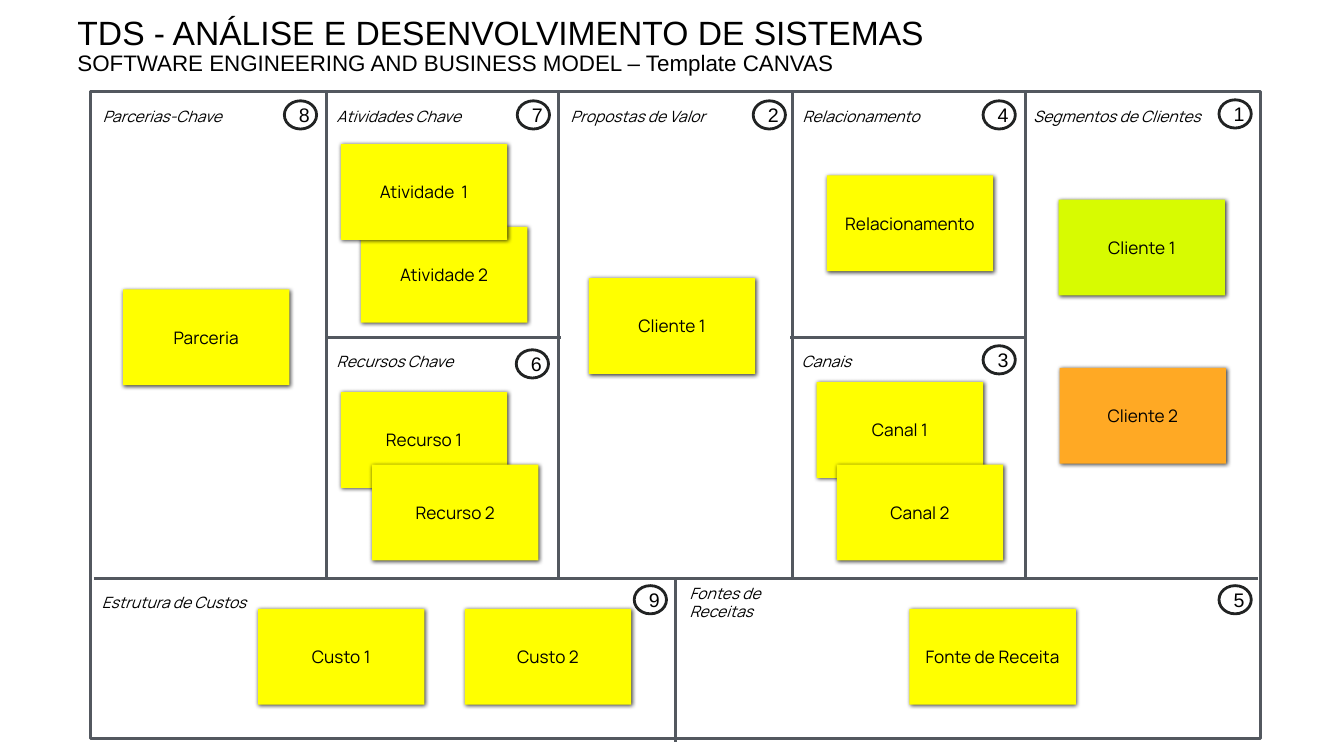
from dataclasses import dataclass

from lxml import etree
from pptx import Presentation
from pptx.dml.color import RGBColor
from pptx.enum.shapes import MSO_CONNECTOR, MSO_SHAPE
from pptx.enum.text import MSO_ANCHOR, MSO_AUTO_SIZE, PP_ALIGN
from pptx.oxml import parse_xml
from pptx.oxml.ns import qn
from pptx.util import Inches, Pt

RECT, OVAL = MSO_SHAPE.RECTANGLE, MSO_SHAPE.OVAL
LINE = MSO_CONNECTOR.STRAIGHT
MIDDLE, CENTER = MSO_ANCHOR.MIDDLE, PP_ALIGN.CENTER
GROW = MSO_AUTO_SIZE.SHAPE_TO_FIT_TEXT


@dataclass(frozen=True)
class Theme:
    ink: str = "000000"
    frame: str = "53585F"
    ring: str = "212323"
    yellow: str = "FFFF00"
    lime: str = "D7FB01"
    orange: str = "FFA924"
    head: str = "Arial"
    body: str = "Manrope"
    title: float = 24
    sub: float = 16
    badge: float = 14
    note: float = 12.3
    label: float = 11.1


@dataclass(frozen=True)
class Label:
    text: str
    x: float
    y: float
    w: float
    h: float = 0.25


@dataclass(frozen=True)
class Note:
    text: str
    x: float
    y: float
    fill: str = Theme.yellow


@dataclass(frozen=True)
class Badge:
    text: str
    x: float
    y: float


THEME = Theme()
LEFT, TOP, WIDE, HIGH = 0.9, 0.91, 11.6, 6.42
FLOOR, SHELF = 5.74, 3.35
NOTE_W, NOTE_H = 1.65, 0.95
RING_W, RING_H = 0.32, 0.28
ROW, LOW = 1.03, 5.85

# Canvas rules: start x, start y, end x, end y
RULES = [
    (0.93, FLOOR, 12.48, FLOOR),
    *[(x, 0.92, x, 5.72) for x in (3.24, 5.54, 7.86, 10.17)],
    (3.24, SHELF, 5.56, SHELF),
    (7.84, SHELF, 10.16, SHELF),
    (6.7, 7.36, 6.7, FLOOR),
]

LABELS = [
    Label("Segmentos de Clientes", 10.19, ROW, 1.81),
    Label("Relacionamento", 7.9, ROW, 1.57),
    Label("Propostas de Valor", 5.6, ROW, 1.52),
    Label("Atividades Chave", 3.28, ROW, 1.4),
    Label("Parcerias-Chave", 0.96, 0.99, 1.81, 0.33),
    Label("Fontes de Receitas", 6.78, LOW, 1.42),
    Label("Estrutura de Custos", 0.95, LOW, 1.57),
    Label("Recursos Chave", 3.28, 3.46, 1.33),
    Label("Canais", 7.89, 3.46, 1.42),
]

# Listed back to front, since some notes overlap
NOTES = [
    Note("Cliente 2", 10.51, 3.65, THEME.orange),
    Note("Cliente 1", 10.5, 1.98, THEME.lime),
    Note("Cliente 1", 5.84, 2.76),
    Note("Canal 1", 8.1, 3.79),
    Note("Relacionamento", 8.2, 1.74),
    Note("Fonte de Receita", 9.02, 6.04),
    Note("Custo 1", 2.56, 6.04),
    Note("Custo 2", 4.61, 6.04),
    Note("Recurso 1", 3.38, 3.89),
    Note("Atividade 2", 3.58, 2.25),
    Note("Parceria", 1.22, 2.87),
    Note("Canal 2", 8.3, 4.61),
    Note("Recurso 2", 3.69, 4.61),
    Note("Atividade  1", 3.38, 1.43),
]

BADGES = [
    Badge("1", 12.09, 0.99),
    Badge("4", 9.75, 1),
    Badge("2", 7.47, 1),
    Badge("9", 6.29, 5.81),
    Badge("5", 12.09, 5.81),
    Badge("3", 9.75, 3.43),
    Badge("6", 5.12, 3.47),
    Badge("7", 5.13, 1),
    Badge("8", 2.82, 1),
]

SHADOW = (
    '<a:effectLst xmlns:a="http://schemas.openxmlformats.org/drawingml/2006/main">'
    '<a:outerShdw blurRad="38100" dist="12700" dir="2700000" rotWithShape="0">'
    '<a:srgbClr val="000000"><a:alpha val="75000"/></a:srgbClr>'
    "</a:outerShdw></a:effectLst>"
)


def color(code: str) -> RGBColor:
    return RGBColor.from_string(code)


def box(x: float, y: float, w: float, h: float) -> list:
    return [Inches(v) for v in (x, y, w, h)]


def write(para, text: str, font: str, size: float, slant: bool = False) -> None:
    run = para.add_run()
    run.text = text
    run.font.name, run.font.size = font, Pt(size)
    run.font.color.rgb = color(THEME.ink)
    if slant:
        run.font.italic = True


def inset(frame, gap: float) -> None:
    frame.margin_left = frame.margin_right = Inches(gap)
    frame.margin_top = frame.margin_bottom = Inches(gap)


def stroke(line, code: str, width: float) -> None:
    line.color.rgb = color(code)
    line.width = Pt(width)


def draw_grid(shapes) -> None:
    frame = shapes.add_shape(RECT, *box(LEFT, TOP, WIDE, HIGH))
    frame.shadow.inherit = False
    frame.fill.background()
    stroke(frame.line, THEME.frame, 2.25)
    for ends in RULES:
        rule = shapes.add_connector(LINE, *box(*ends))
        stroke(rule.line, THEME.frame, 2.25)
        etree.SubElement(rule._element.spPr, qn("a:effectLst"))


def draw_label(shapes, item: Label) -> None:
    frame = shapes.add_textbox(*box(item.x, item.y, item.w, item.h)).text_frame
    frame.word_wrap = True
    frame.vertical_anchor = MIDDLE
    inset(frame, 0.06)
    write(frame.paragraphs[0], item.text, THEME.body, THEME.label, True)


def draw_note(shapes, item: Note) -> None:
    note = shapes.add_shape(RECT, *box(item.x, item.y, NOTE_W, NOTE_H))
    note.fill.solid()
    note.fill.fore_color.rgb = color(item.fill)
    note.line.fill.background()
    note._element.spPr.append(parse_xml(SHADOW))
    frame = note.text_frame
    frame.word_wrap = True
    frame.vertical_anchor = MIDDLE
    inset(frame, 0.12)
    frame.paragraphs[0].alignment = CENTER
    write(frame.paragraphs[0], item.text, THEME.body, THEME.note)


def draw_title(shapes) -> None:
    frame = shapes.add_textbox(*box(0.67, 0.11, 10.15, 0.71)).text_frame
    frame.word_wrap = True
    frame.auto_size = GROW
    first, second = frame.paragraphs[0], frame.add_paragraph()
    first.line_spacing = second.line_spacing = 0.9
    write(first, "TDS - ANÁLISE E DESENVOLVIMENTO DE SISTEMAS", THEME.head, THEME.title)
    write(second, "SOFTWARE ENGINEERING AND BUSINESS MODEL – Template CANVAS",
          THEME.head, THEME.sub)


def draw_badge(shapes, item: Badge) -> None:
    ring = shapes.add_shape(OVAL, *box(item.x, item.y, RING_W, RING_H))
    ring.shadow.inherit = False
    ring.fill.background()
    stroke(ring.line, THEME.ring, 2)
    frame = ring.text_frame
    frame.vertical_anchor = MIDDLE
    frame.paragraphs[0].alignment = CENTER
    write(frame.paragraphs[0], item.text, THEME.head, THEME.badge)


def main() -> None:
    deck = Presentation()
    deck.slide_width, deck.slide_height = Inches(13.33), Inches(7.5)
    shapes = deck.slides.add_slide(deck.slide_layouts[6]).shapes
    draw_grid(shapes)
    for item in LABELS:
        draw_label(shapes, item)
    for item in NOTES:
        draw_note(shapes, item)
    draw_title(shapes)
    for item in BADGES:
        draw_badge(shapes, item)
    deck.save("out.pptx")


if __name__ == "__main__":
    main()
